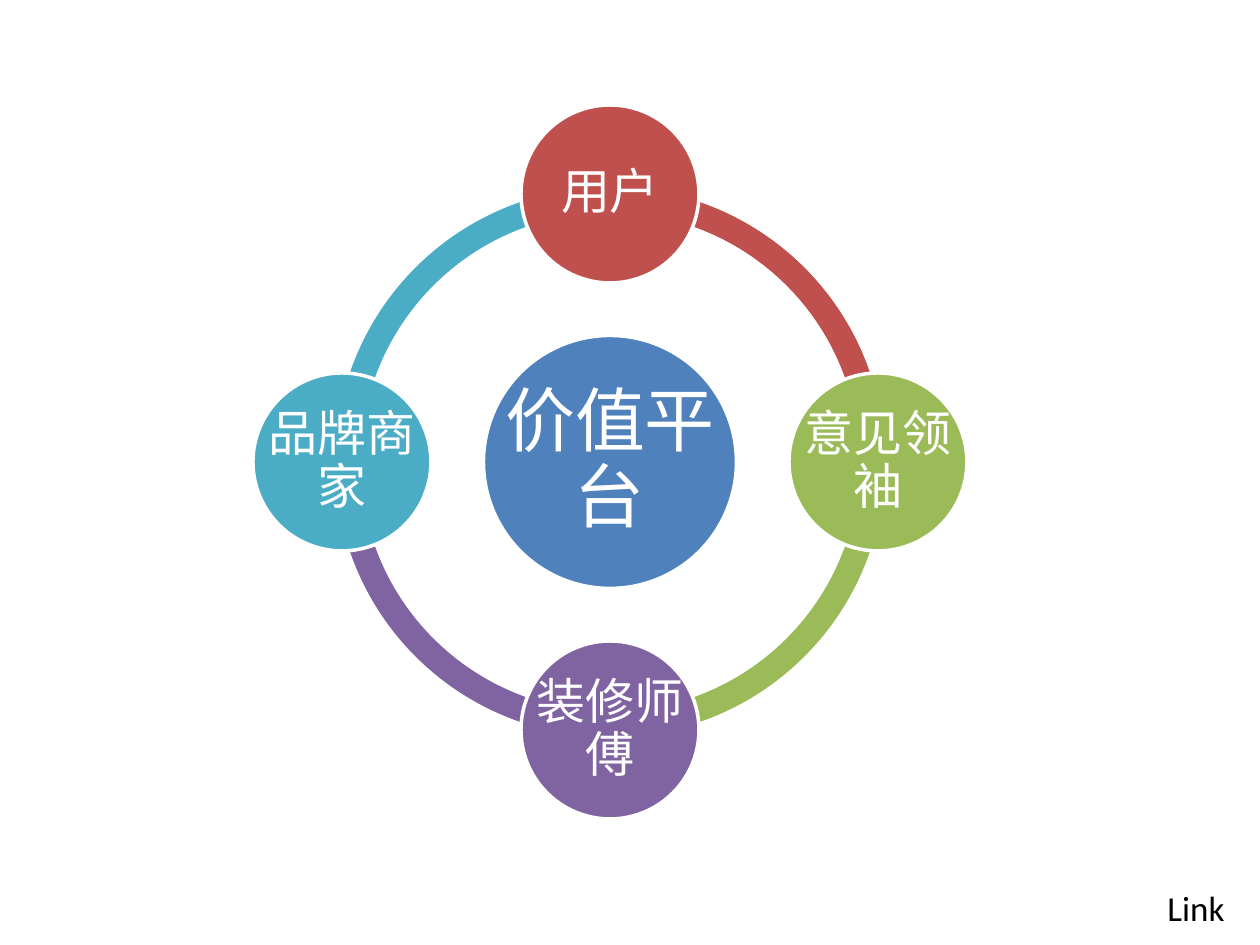
from pptx import Presentation
from pptx import util as u
from pptx.dml.color import RGBColor
from pptx.enum import shapes, text

PX = u.Inches(1) / 126
CENTER_X, CENTER_Y = 610, 462
ORBIT, RING_SIZE = 268, 550
HUB_SIZE, NODE_SIZE = 253, 178
WHITE, BLACK, BLUE = "FFFFFF", "000000", "4F81BD"
QUARTER_TURN = 54  # 90 degrees, in adjustment units

# Clockwise from the top: label, colour, direction from the hub
NODES = [
    ("用户", "C0504D", (0, -1)),
    ("意见领袖", "9BBB59", (1, 0)),
    ("装修师傅", "8064A2", (0, 1)),
    ("品牌商家", "4BACC6", (-1, 0)),
]


def px(length):
    return u.Emu(round(length * PX))


def color(hex_string):
    return RGBColor.from_string(hex_string)


class Diagram:
    font = "Calibri"

    def __init__(self, slide):
        self.slide = slide

    def shape(self, kind, x, y, size, fill):
        """Add a square-framed preset shape centred on x, y."""
        shape = self.slide.shapes.add_shape(
            kind, px(x - size / 2), px(y - size / 2), px(size), px(size))
        shape.shadow.inherit = False
        shape.fill.solid()
        shape.fill.fore_color.rgb = color(fill)
        shape.line.fill.background()
        return shape

    def arc(self, start, end, fill):
        arc = self.shape(shapes.MSO_SHAPE.BLOCK_ARC, CENTER_X, CENTER_Y,
                         RING_SIZE, fill)
        for index, value in enumerate((start, end, 0.046)):
            arc.adjustments[index] = value

    def label(self, x, y, width, height, content, size, fill):
        box = self.slide.shapes.add_textbox(px(x), px(y), px(width), px(height))
        frame = box.text_frame
        frame.word_wrap = True
        frame.text = content
        font = frame.paragraphs[0].runs[0].font
        font.name, font.size = self.font, u.Pt(size)
        font.color.rgb = color(fill)
        return frame

    def circle(self, x, y, size, content, text_size, inset, fill):
        """Add a disc with a label box as large as the whole disc."""
        disc = self.shape(shapes.MSO_SHAPE.OVAL, x, y, size, fill)
        disc.line.color.rgb = color(WHITE)
        disc.line.width = u.Pt(2)
        frame = self.label(x - size / 2, y - size / 2, size, size,
                           content, text_size, WHITE)
        frame.vertical_anchor = text.MSO_ANCHOR.MIDDLE
        frame.margin_left = frame.margin_right = px(inset)
        frame.margin_top = frame.margin_bottom = px(inset)
        paragraph = frame.paragraphs[0]
        paragraph.alignment = text.PP_ALIGN.CENTER
        paragraph.line_spacing = 0.9


def main():
    presentation = Presentation()
    presentation.slide_width, presentation.slide_height = px(1260), px(945)
    slide = presentation.slides.add_slide(presentation.slide_layouts[6])
    diagram = Diagram(slide)

    diagram.label(1155, 880, 307, 55, "Link", 20, BLACK)
    for index, (_, fill, _) in reversed(list(enumerate(NODES))):
        start = (index + 3) % 4 * QUARTER_TURN
        end = index * QUARTER_TURN
        diagram.arc(start, end, fill)
    diagram.circle(CENTER_X, CENTER_Y, HUB_SIZE, "价值平台", 40, 8, BLUE)
    for name, fill, (dx, dy) in NODES:
        diagram.circle(CENTER_X + dx * ORBIT, CENTER_Y + dy * ORBIT,
                       NODE_SIZE, name, 28, 5, fill)

    presentation.save("out.pptx")


if __name__ == "__main__":
    main()
